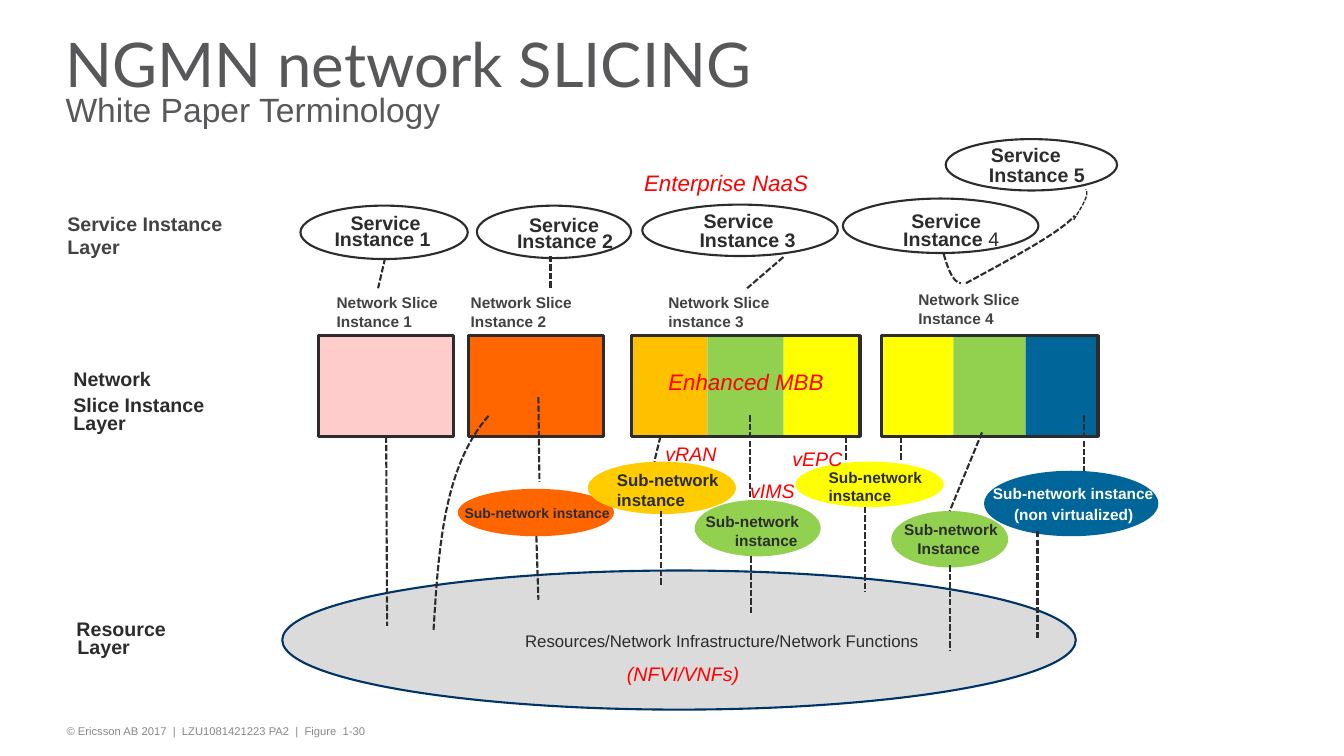
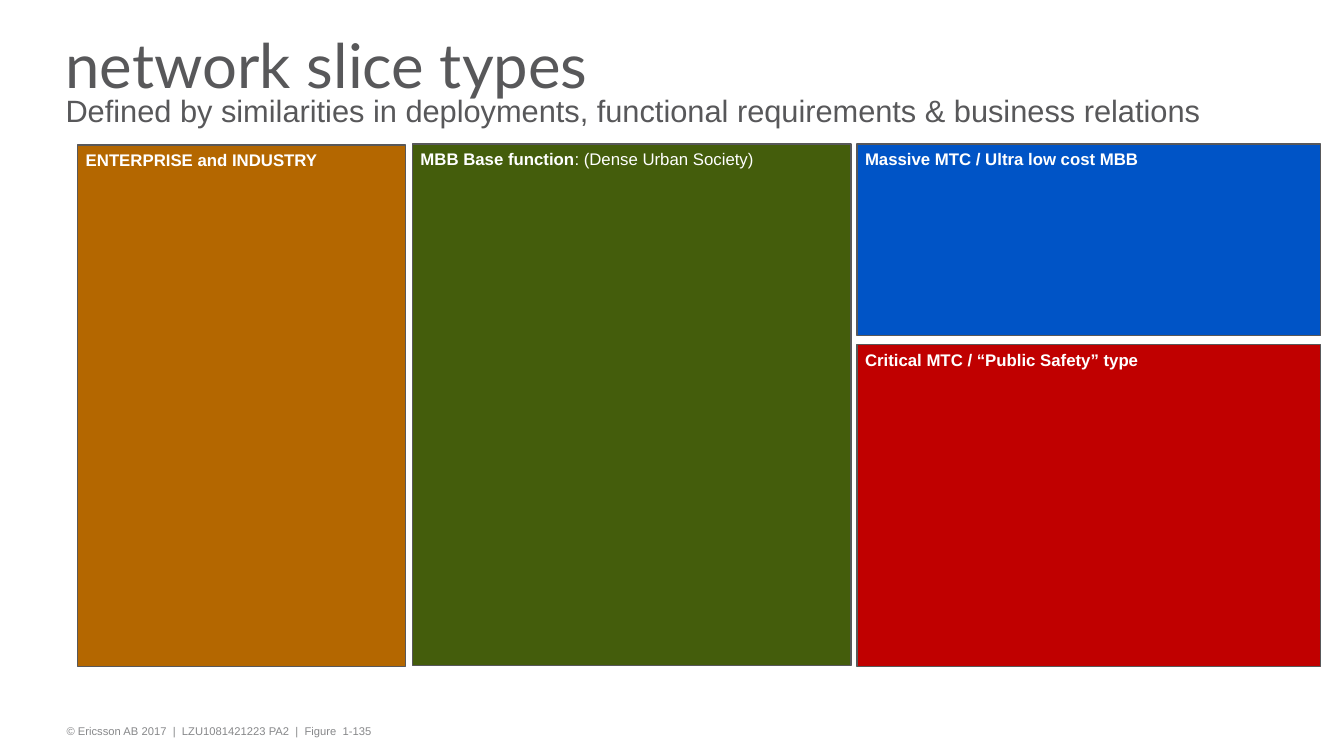
from dataclasses import dataclass
from typing import Optional

from lxml.etree import SubElement
from pptx import Presentation
from pptx.dml.color import RGBColor
from pptx.enum.dml import MSO_LINE_DASH_STYLE as Dash
from pptx.enum.shapes import MSO_CONNECTOR as Connector, MSO_SHAPE as Shape
from pptx.enum.text import MSO_ANCHOR as Anchor, MSO_AUTO_SIZE as AutoSize, PP_ALIGN as Align
from pptx.oxml.ns import qn
from pptx.util import Emu, Inches, Pt

INK = RGBColor(0x2C, 0x2C, 0x2D)
CHARCOAL = RGBColor(0x42, 0x42, 0x43)
TITLE_GREY = RGBColor(0x58, 0x58, 0x5A)
FOOTER_GREY = RGBColor(0x87, 0x88, 0x8A)
RESOURCE_GREY = RGBColor(0xDB, 0xDB, 0xDB)
WHITE = RGBColor(0xFF, 0xFF, 0xFF)
RED = RGBColor(0xFF, 0x00, 0x00)
PINK = RGBColor(0xFF, 0xCC, 0xCC)
ORANGE = RGBColor(0xFF, 0x66, 0x00)
AMBER = RGBColor(0xFF, 0xC0, 0x00)
GOLD = RGBColor(0xFF, 0xCC, 0x00)
GREEN = RGBColor(0x92, 0xD0, 0x50)
YELLOW = RGBColor(0xFF, 0xFF, 0x00)
BLUE = RGBColor(0x00, 0x66, 0x99)
NAVY = RGBColor(0x00, 0x33, 0x66)
BROWN = RGBColor(0xB4, 0x67, 0x00)
OLIVE = RGBColor(0x44, 0x5D, 0x0C)
ROYAL = RGBColor(0x00, 0x54, 0xC6)
CRIMSON = RGBColor(0xC0, 0x00, 0x00)

BODY_FONT, TITLE_FONT = "Arial", "Lato"
CELL = Inches(0.1)
SLICE_TOP, SLICE_HEIGHT = 33.3, 10


@dataclass(frozen=True)
class Style:
    size: int
    color: RGBColor = INK
    bold: bool = True
    italic: bool = False


@dataclass(frozen=True)
class Box:
    col: float
    row: float
    cols: float
    rows: float


@dataclass(frozen=True)
class Label:
    col: float
    row: float
    cols: float
    text: str
    style: Style
    plain: str = ""
    lines: int = 1


@dataclass(frozen=True)
class Oval:
    box: Box
    fill: RGBColor
    line: Optional[RGBColor] = None


@dataclass(frozen=True)
class Slice:
    col: float
    cols: float
    fills: tuple[RGBColor, ...]


@dataclass(frozen=True)
class Panel:
    box: Box
    fill: RGBColor
    text: str
    plain: str = ""


@dataclass(frozen=True)
class Curve:
    points: tuple[tuple[float, float], ...]
    width: float = 1.5


LAYER = Style(14)
LAYER_SOFT = Style(14, CHARCOAL)
SLICE_NAME = Style(11, CHARCOAL)
SUBNET_SMALL, SUBNET, SUBNET_LARGE = Style(10), Style(11), Style(12)
SUBNET_WHITE = Style(11, WHITE)
RESOURCE = Style(12, bold=False)
NOTE_LARGE = Style(16, RED, bold=False, italic=True)
NOTE = Style(14, RED, bold=False, italic=True)
PANEL = Style(12, WHITE)
FOOTER = Style(8, FOOTER_GREY, bold=False)

SLICES = (
    Slice(31.6, 13.4, (PINK,)),
    Slice(46.5, 13.4, (ORANGE,)),
    Slice(62.6, 22.7, (AMBER, GREEN, YELLOW)),
    Slice(87.4, 21.5, (YELLOW, GREEN, BLUE)),
)

OVALS = (
    Oval(Box(29.8, 20.4, 16.6, 5.3), WHITE, INK),
    Oval(Box(47.3, 20.4, 15.3, 5.2), WHITE, INK),
    Oval(Box(63.7, 20.3, 19.4, 5.1), WHITE, INK),
    Oval(Box(83.6, 19.7, 19.4, 5.4), WHITE, INK),
    Oval(Box(93.8, 13.8, 17, 5.1), WHITE, INK),
    Oval(Box(45.4, 48.5, 15.5, 4.7), ORANGE),
    Oval(Box(58.3, 45.8, 14.7, 5.2), GOLD),
    Oval(Box(68.9, 49.6, 12.5, 5.6), GREEN),
    Oval(Box(88.4, 50.7, 11.6, 5.6), GREEN),
    Oval(Box(78.9, 45.8, 14.7, 4.5), YELLOW),
    Oval(Box(97.6, 46.7, 17.3, 6.5), BLUE),
    Oval(Box(28, 56.6, 78.7, 13.8), RESOURCE_GREY, NAVY),
)

LINKS = (
    (38.2, 25.6, 37.5, 28.6),
    (54.6, 25.4, 54.6, 28.6),
    (77.7, 25.5, 74.1, 28.6),
    (38.3, 43.3, 38.4, 62.1),
    (53.4, 39.4, 53.5, 47.8),
    (53.2, 53.2, 53.4, 59.5),
    (65.5, 43.3, 64.9, 45.8),
    (65.6, 50.7, 65.6, 58.1),
    (74.4, 41.2, 74.4, 49.5),
    (74.5, 55.2, 74.5, 60.9),
    (83.9, 43.3, 83.9, 45.8),
    (85.8, 50.3, 85.8, 58.7),
    (89.4, 43.3, 89.4, 45.8),
    (97.4, 42.9, 94.2, 50.7),
    (94.2, 56.1, 94.2, 64.5),
    (107.5, 41.2, 107.5, 46.7),
    (102.9, 52.7, 102.9, 63.4),
)

CURVES = (
    Curve(((106.5, 21.8), (107.3, 20.5), (108.1, 19.3), (107.7, 18.8)), 1),
    Curve(((95.8, 28.1), (100.4, 25.6), (105.1, 23.1), (106.6, 21.4))),
    Curve(((93.6, 25.2), (94, 26.6), (94.5, 28), (95.3, 28.1))),
    Curve(((43, 62.5), (43.5, 54.4), (44, 46.3), (48.5, 41.2))),
)

LABELS = (
    Label(5.7, 20.5, 18.3, "Service Instance Layer", LAYER_SOFT, lines=2),
    Label(6.3, 35.9, 12.6, "Network", LAYER),
    Label(6.3, 38.5, 20.3, "Slice Instance", LAYER),
    Label(6.3, 40.3, 13.7, "Layer", LAYER),
    Label(6.6, 60.7, 22.3, "Resource", LAYER),
    Label(6.7, 62.5, 11.5, "Layer", LAYER),
    Label(33.8, 20.4, 12, "Service", LAYER),
    Label(32.2, 22, 14.4, "Instance 1", LAYER),
    Label(51.5, 20.6, 12, "Service", LAYER),
    Label(50.3, 22.2, 14.4, "Instance 2", LAYER),
    Label(68.8, 20.2, 12, "Service", LAYER),
    Label(68.4, 22.1, 14.4, "Instance 3", LAYER),
    Label(89.4, 20.2, 12, "Service", LAYER),
    Label(88.6, 22, 14.4, "Instance", LAYER, " 4"),
    Label(97.3, 13.7, 12, "Service", LAYER),
    Label(97.1, 15.7, 14.4, "Instance 5", LAYER),
    Label(32.4, 28.6, 15, "Network Slice Instance 1", SLICE_NAME, lines=2),
    Label(45.7, 28.6, 15, "Network Slice Instance 2", SLICE_NAME, lines=2),
    Label(65.3, 28.6, 15, "Network Slice instance 3", SLICE_NAME, lines=2),
    Label(90.1, 28.3, 15, "Network Slice Instance 4", SLICE_NAME, lines=2),
    Label(45.1, 49.6, 20, "Sub-network instance", SUBNET_SMALL),
    Label(60.2, 46.1, 14.7, "Sub-network instance", SUBNET_LARGE, lines=2),
    Label(69, 50.3, 15, "Sub-network", SUBNET),
    Label(71.9, 52.2, 11.1, "instance", SUBNET),
    Label(81.2, 45.9, 14.6, "Sub-network instance", SUBNET, lines=2),
    Label(88.7, 51.1, 15, "Sub-network", SUBNET),
    Label(90, 53, 11.1, "Instance", SUBNET),
    Label(97.5, 47.5, 22, "Sub-network instance", SUBNET_WHITE),
    Label(99.6, 49.6, 21, "(non virtualized)", SUBNET_WHITE),
    Label(51.1, 62.1, 45, "Resources/Network Infrastructure/Network Functions", RESOURCE),
    Label(62.9, 16.3, 20, "Enterprise NaaS", NOTE_LARGE),
    Label(65.3, 36, 20, "Enhanced MBB", NOTE_LARGE),
    Label(77.6, 43.8, 8.5, "vEPC", NOTE),
    Label(65, 43.3, 8.5, "vRAN", NOTE),
    Label(73.4, 47, 8.5, "vIMS", NOTE),
    Label(61.2, 65.2, 15, "(NFVI/VNFs)", NOTE),
)

PANELS = (
    Panel(Box(7.7, 14.4, 32.5, 51.7), BROWN, "ENTERPRISE and INDUSTRY"),
    Panel(Box(40.9, 14.3, 43.5, 51.7), OLIVE, "MBB Base function", ": (Dense Urban Society)"),
    Panel(Box(85, 14.3, 46, 19), ROYAL, "Massive MTC / Ultra low cost MBB"),
    Panel(Box(85, 34.2, 46, 31.9), CRIMSON, "Critical MTC / “Public Safety” type"),
)


def grid(units: float) -> Emu:
    return Emu(round(units * CELL))


def place(box: Box) -> tuple[Emu, Emu, Emu, Emu]:
    return grid(box.col), grid(box.row), grid(box.cols), grid(box.rows)


def set_insets(tf, side: float, top: float) -> None:
    tf.margin_left = tf.margin_right = Inches(side)
    tf.margin_top = tf.margin_bottom = Inches(top)


def write(tf, text: str, style: Style, plain: str = "") -> None:
    p = tf.paragraphs[0]
    p.alignment = Align.LEFT
    p.font.name, p.font.size = BODY_FONT, Pt(style.size)
    p.font.bold, p.font.italic = style.bold, style.italic
    p.font.color.rgb = style.color
    p.add_run().text = text
    if plain:
        r = p.add_run()
        r.text = plain
        r.font.bold = False


def add_label(s, label: Label) -> None:
    rows = 1 + label.lines * label.style.size / 6
    tb = s.shapes.add_textbox(*place(Box(label.col, label.row, label.cols, rows)))
    tb.text_frame.word_wrap = True
    write(tb.text_frame, label.text, label.style, label.plain)


def add_block(s, kind: Shape, box: Box, fill: Optional[RGBColor],
              line: Optional[RGBColor] = None, width: float = 1.5):
    sp = s.shapes.add_shape(kind, *place(box))
    sp.shadow.inherit = False
    if fill is None:
        sp.fill.background()
    else:
        sp.fill.solid()
        sp.fill.fore_color.rgb = fill
    if line is None:
        sp.line.fill.background()
    else:
        sp.line.color.rgb = line
        sp.line.width = Pt(width)
    return sp


def add_slice(s, item: Slice) -> None:
    whole = Box(item.col, SLICE_TOP, item.cols, SLICE_HEIGHT)
    if len(item.fills) == 1:
        add_block(s, Shape.RECTANGLE, whole, item.fills[0], INK, 2.25)
        return
    part = item.cols / len(item.fills)
    for i, fill in enumerate(item.fills):
        add_block(s, Shape.RECTANGLE, Box(item.col + i * part, SLICE_TOP, part, SLICE_HEIGHT), fill)
    add_block(s, Shape.RECTANGLE, whole, None, INK, 2.25)


def dash(line, width: float) -> None:
    line.color.rgb = INK
    line.width = Pt(width)
    line.dash_style = Dash.SQUARE_DOT


def add_link(s, ends: tuple[float, float, float, float]) -> None:
    cn = s.shapes.add_connector(Connector.STRAIGHT, *map(grid, ends))
    dash(cn.line, 1.5)
    SubElement(cn._element.spPr, qn("a:effectLst"))


def add_curve(s, curve: Curve) -> None:
    start, *rest = [(grid(x), grid(y)) for x, y in curve.points]
    builder = s.shapes.build_freeform(*start)
    builder.add_line_segments(rest, close=False)
    sp = builder.convert_to_shape()
    outline = sp._element.xpath(".//a:path")[0]
    bezier = SubElement(outline, qn("a:cubicBezTo"))
    for segment in outline.findall(qn("a:lnTo")):
        bezier.append(segment[0])
        outline.remove(segment)
    sp.shadow.inherit = False
    sp.fill.background()
    dash(sp.line, curve.width)


def add_panel(s, panel: Panel) -> None:
    sp = add_block(s, Shape.RECTANGLE, panel.box, panel.fill, TITLE_GREY, 1)
    tf = sp.text_frame
    tf.word_wrap = True
    tf.vertical_anchor = Anchor.TOP
    set_insets(tf, 0.08, 0.05)
    write(tf, panel.text, PANEL, panel.plain)


def new_slide(prs, title: str, subtitle: str, subtitle_size: int, figure: str):
    s = prs.slides.add_slide(prs.slide_layouts[5])
    sp = s.shapes.title
    sp.left, sp.top, sp.width, sp.height = place(Box(5.7, 2.6, 115, 11.9))
    tf = sp.text_frame
    tf.word_wrap = True
    tf.auto_size = AutoSize.NONE
    tf.vertical_anchor = Anchor.MIDDLE
    set_insets(tf, 0.08, 0)
    p = tf.paragraphs[0]
    p.alignment = Align.LEFT
    p.line_spacing = 0.75
    p.font.color.rgb = TITLE_GREY
    for text, font, size in ((title, TITLE_FONT, 44), (subtitle, BODY_FONT, subtitle_size)):
        if p.runs:
            p.add_line_break()
        r = p.add_run()
        r.text = text
        r.font.name, r.font.size = font, Pt(size)
    footer = s.shapes.add_textbox(*place(Box(5.8, 71.4, 107.9, 2.4)))
    set_insets(footer.text_frame, 0.08, 0.05)
    footer.text_frame.word_wrap = True
    write(footer.text_frame, f"© Ericsson AB 2017  |  LZU1081421223 PA2  |  Figure  {figure}", FOOTER)
    return s


def build_slicing(prs) -> None:
    s = new_slide(prs, "NGMN network SLICING", "White Paper Terminology", 24, "1-30")
    for item in SLICES:
        add_slice(s, item)
    for oval in OVALS:
        add_block(s, Shape.OVAL, oval.box, oval.fill, oval.line)
    for ends in LINKS:
        add_link(s, ends)
    for curve in CURVES:
        add_curve(s, curve)
    for label in LABELS:
        add_label(s, label)


def build_types(prs) -> None:
    subtitle = "Defined by similarities in deployments, functional requirements & business relations"
    s = new_slide(prs, "network slice types", subtitle, 22, "1-135")
    for panel in PANELS:
        add_panel(s, panel)


def main() -> None:
    prs = Presentation()
    prs.slide_width, prs.slide_height = Inches(13.33), Inches(7.5)
    build_slicing(prs)
    build_types(prs)
    prs.save("out.pptx")


if __name__ == "__main__":
    main()
